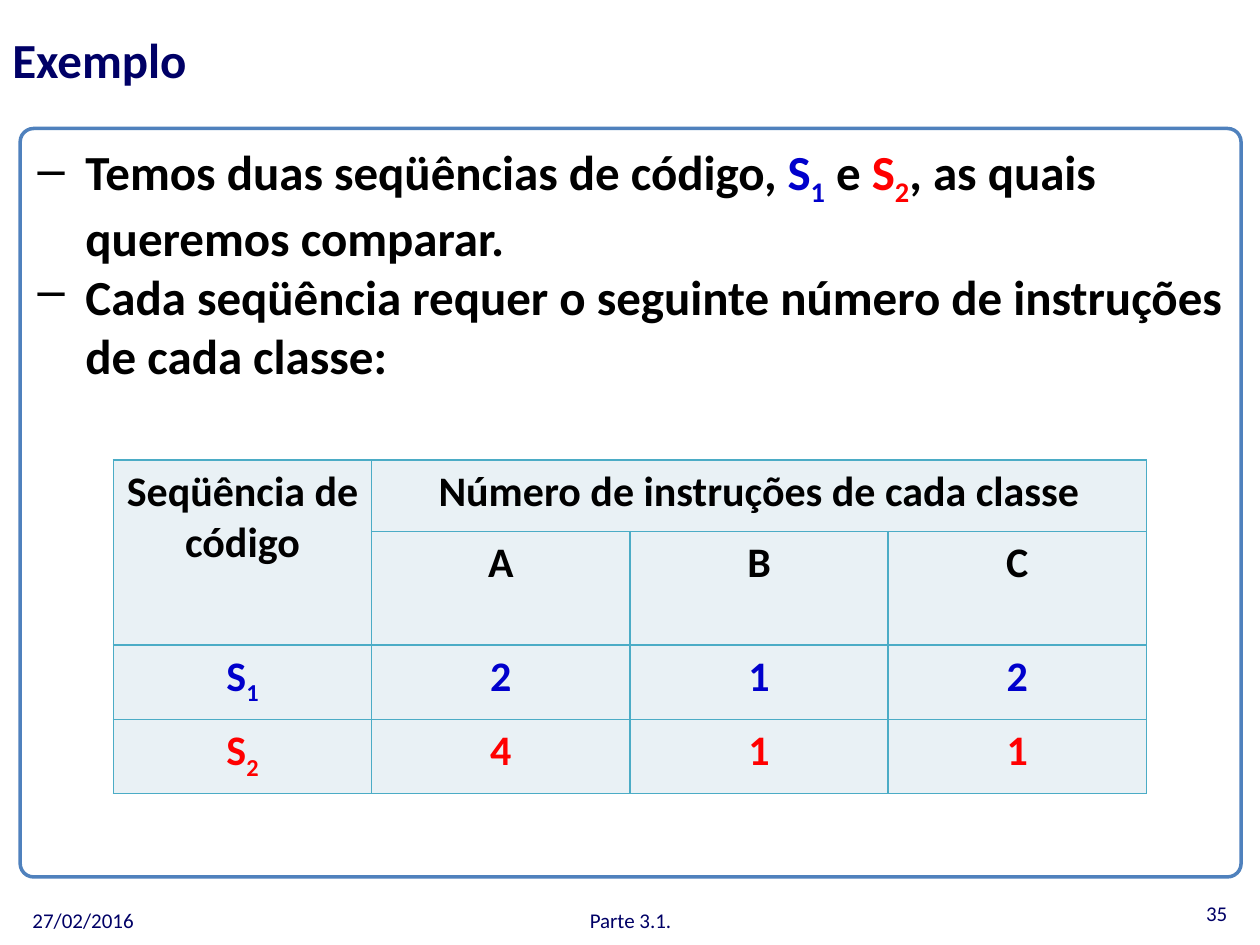
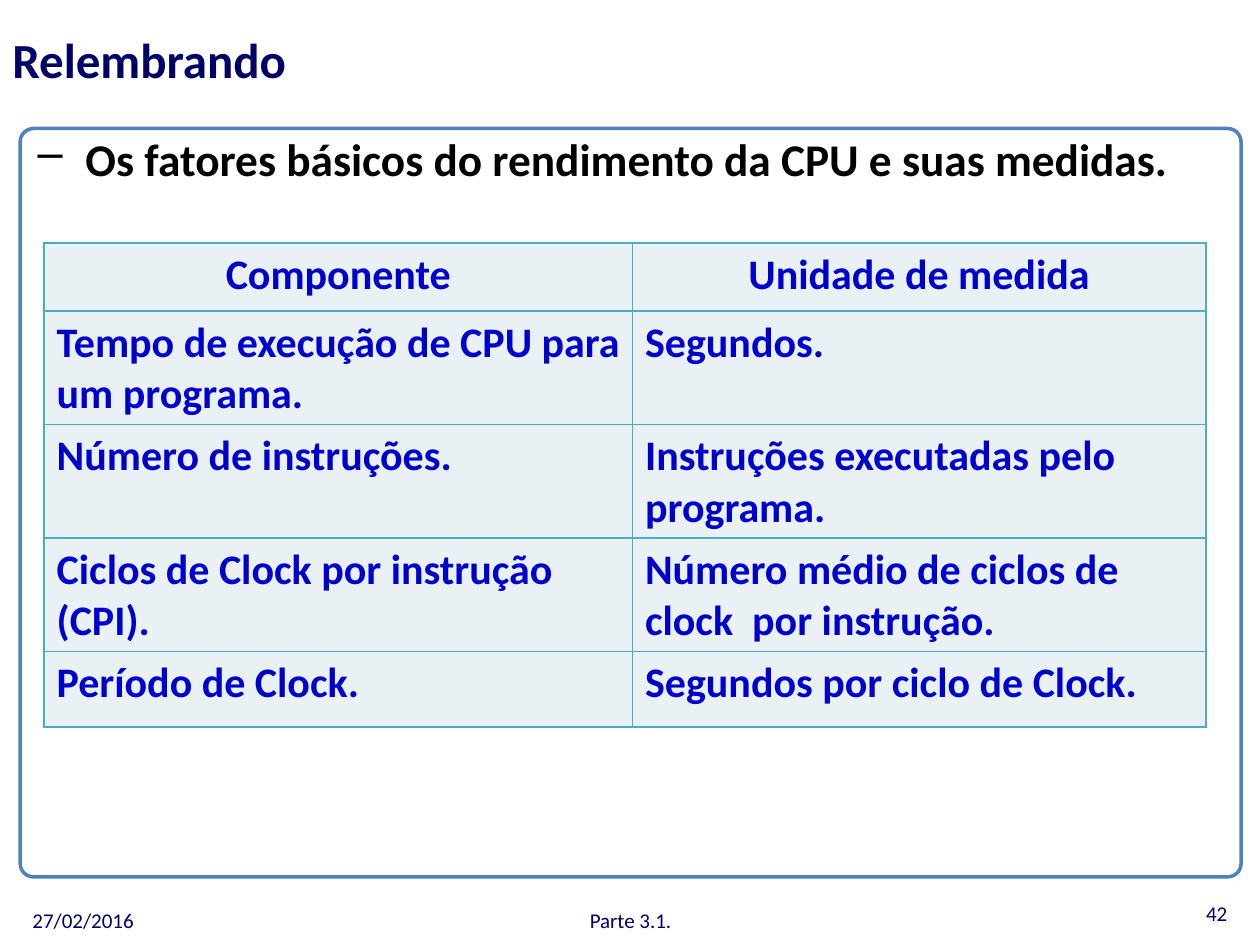
from lxml.etree import SubElement
from pptx import Presentation
from pptx.dml.color import RGBColor
from pptx.enum.shapes import MSO_SHAPE
from pptx.enum.text import MSO_ANCHOR, PP_ALIGN
from pptx.oxml import parse_xml
from pptx.oxml.ns import nsdecls, qn
from pptx.util import Inches, Pt

# Shared look
FONT = "Calibri"
NAVY, BLUE, RED, BLACK = "000066", "0000CC", "FF0000", "000000"
FRAME, EDGE, PALE = "4F81BD", "4BACC6", "E9F1F5"
LEFT, MID, RIGHT = PP_ALIGN.LEFT, PP_ALIGN.CENTER, PP_ALIGN.RIGHT


def tint(code):
    return RGBColor.from_string(code)


def write(frame, *lines, size=24, color=BLACK, bold=True, align=LEFT, dash=False):
    """Each line is a string or a list of (text, colour, subscript) runs."""
    frame.word_wrap = True
    for i, line in enumerate(lines):
        para = frame.paragraphs[0] if i == 0 else frame.add_paragraph()
        para.alignment = align
        if dash:
            props = para._p.get_or_add_pPr()
            props.set("marL", str(Inches(0.38)))
            props.set("indent", str(-Inches(0.38)))
            SubElement(props, qn("a:buChar")).set("char", "–")
        runs = [(line, color, False)] if isinstance(line, str) else line
        for text, code, sub in runs:
            run = para.add_run()
            run.text = text
            run.font.name, run.font.size, run.font.bold = FONT, Pt(size), bold
            run.font.color.rgb = tint(code)
            if sub:
                run._r.get_or_add_rPr().set("baseline", "-25000")


# Content of each slide
s1 = [("S", BLUE, False), ("1", BLUE, True)]
s2 = [("S", RED, False), ("2", RED, True)]
pages = [
    dict(
        title="Exemplo", number="35",
        body=[
            [("Temos duas seqüências de código, ", BLACK, False), *s1,
             (" e ", BLACK, False), *s2,
             (", as quais queremos comparar.", BLACK, False)],
            "Cada seqüência requer o seguinte número de instruções de cada classe:",
        ],
        area=(0.2, 1.07, 9.61, 2.19), size=28,
        spot=(0.9, 3.65), cols=[2.05] * 4, rows=[0.57] + [0.59] * 3,
        spans=[(0, 0, 1, 0), (0, 1, 0, 3)],
        cells=[
            ["Seqüência de código", "Número de instruções de cada classe", "", ""],
            ["", "A", "B", "C"],
            [s1, "2", "1", "2"],
            [s2, "4", "1", "1"],
        ],
        inks=[BLACK, BLACK, BLUE, RED], aligns=[MID] * 4,
    ),
    dict(
        title="Relembrando", number="42",
        body=["Os fatores básicos do rendimento da CPU e suas medidas."],
        area=(0.2, 0.99, 9.69, 0.7), size=25.9,
        spot=(0.35, 1.93), cols=[4.67, 4.55], rows=[0.54] + [0.81] * 3 + [0.6],
        spans=[],
        cells=[
            ["Componente", "Unidade de medida"],
            ["Tempo de execução de CPU para um programa.", "Segundos."],
            ["Número de instruções.", "Instruções executadas pelo programa."],
            ["Ciclos de Clock por instrução (CPI).",
             "Número médio de ciclos de clock  por instrução."],
            ["Período de Clock.", "Segundos por ciclo de Clock."],
        ],
        inks=[BLUE] * 5, aligns=[MID] + [LEFT] * 4,
    ),
]

deck = Presentation()
deck.slide_width, deck.slide_height = Inches(10), Inches(7.5)

for page in pages:
    slide = deck.slides.add_slide(deck.slide_layouts[6])
    shapes = slide.shapes

    # Rounded frame
    panel = shapes.add_shape(MSO_SHAPE.ROUNDED_RECTANGLE,
                             *map(Inches, (0.16, 1.02, 9.69, 5.94)))
    panel.adjustments[0] = 0.018
    panel.shadow.inherit = False
    panel.fill.background()
    panel.line.color.rgb = tint(FRAME)
    panel.line.width = Pt(2)

    # Title, page number, date and footer
    small = dict(size=12, bold=False)
    for text, area, look in [
        (page["title"], (0, 0, 5.63, 0.94), dict(size=28)),
        (page["number"], (7.51, 7.05, 2.33, 0.4), dict(small, align=RIGHT)),
        ("27/02/2016", (0.16, 7.1, 2.33, 0.4), small),
        ("Parte 3.1.", (3.42, 7.1, 3.17, 0.4), dict(small, align=MID)),
    ]:
        frame = shapes.add_textbox(*map(Inches, area)).text_frame
        frame.vertical_anchor = MSO_ANCHOR.MIDDLE
        write(frame, text, color=NAVY, **look)

    # Dashed points
    frame = shapes.add_textbox(*map(Inches, page["area"])).text_frame
    write(frame, *page["body"], size=page["size"], dash=True)

    # Table
    cols, rows = page["cols"], page["rows"]
    table = shapes.add_table(len(rows), len(cols), *map(Inches, page["spot"]),
                             Inches(sum(cols)), Inches(sum(rows))).table
    for col, width in zip(table.columns, cols):
        col.width = Inches(width)
    for row, height in zip(table.rows, rows):
        row.height = Inches(height)
    for top, left, low, right in page["spans"]:
        table.cell(top, left).merge(table.cell(low, right))
    for r, line in enumerate(page["cells"]):
        for c, text in enumerate(line):
            cell = table.cell(r, c)
            cell.fill.solid()
            cell.fill.fore_color.rgb = tint(PALE)
            if text:
                write(cell.text_frame, text, color=page["inks"][r],
                      align=page["aligns"][r])
            for i, side in enumerate("LRTB"):
                cell._tc.get_or_add_tcPr().insert(i, parse_xml(
                    f'<a:ln{side} {nsdecls("a")} w="{Pt(1)}"><a:solidFill>'
                    f'<a:srgbClr val="{EDGE}"/></a:solidFill></a:ln{side}>'))

deck.save("out.pptx")
